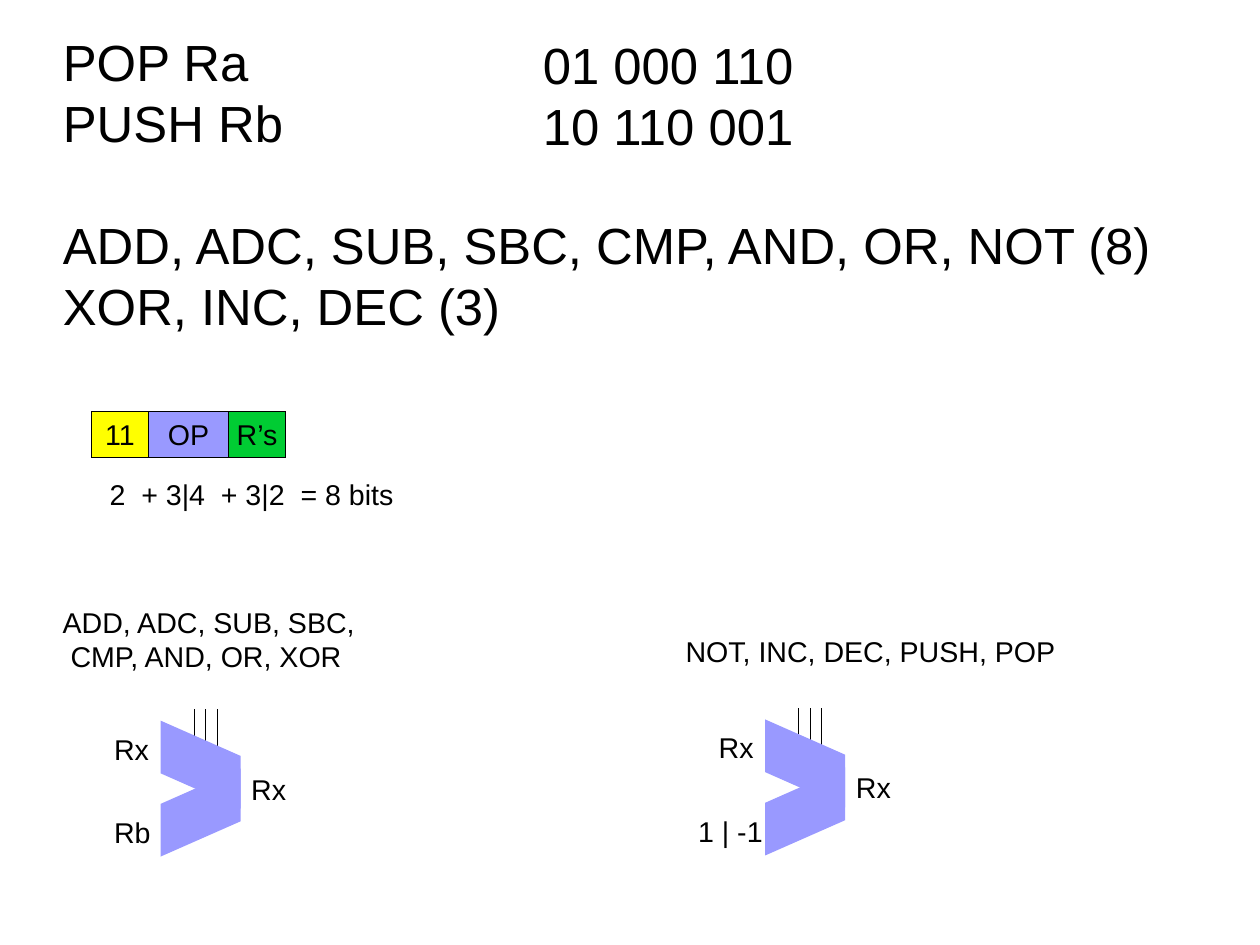
from lxml import etree
from pptx import Presentation
from pptx.dml.color import RGBColor
from pptx.enum.shapes import MSO_CONNECTOR, MSO_SHAPE
from pptx.enum.text import MSO_ANCHOR, MSO_AUTO_SIZE, PP_ALIGN
from pptx.oxml.ns import qn
from pptx.util import Cm, Inches, Pt

LINE = MSO_CONNECTOR.STRAIGHT
RECTANGLE, PARALLELOGRAM = MSO_SHAPE.RECTANGLE, MSO_SHAPE.PARALLELOGRAM
TOP, MIDDLE = MSO_ANCHOR.TOP, MSO_ANCHOR.MIDDLE
LEFT, CENTER = PP_ALIGN.LEFT, PP_ALIGN.CENTER
NO_FIT = MSO_AUTO_SIZE.NONE

COLORS = {"ink": "000000", "prefix": "FFFF00", "operation": "9999FF", "registers": "00CC33"}
FONT = "Arial"
LARGE, SMALL = 32, 18
SECTION_GAP = 38.4
HAIRLINE = Pt(0.01)

INSTRUCTIONS = [
    "POP Ra",
    "PUSH Rb",
    "ADD, ADC, SUB, SBC, CMP, AND, OR, NOT (8)",
    "XOR, INC, DEC (3)",
]
SECTION_START = 2
OPCODES = ["01 000 110", "10 110 001"]
FIELDS = [("11", 0.5, "prefix"), ("OP", 0.7, "operation"), ("R’s", 0.5, "registers")]
LABELS = [
    (["2  + 3|4  + 3|2  = 8 bits"], (0.86, 4.12, 2.69, 0.38)),
    (["ADD, ADC, SUB, SBC,", " CMP, AND, OR, XOR"], (0.45, 5.24, 2.75, 0.66)),
    (["NOT, INC, DEC, PUSH, POP"], (5.9, 5.5, 3.44, 0.38)),
]
UNITS = [
    {"origin": (0.9, 6.21), "lower": "Rb", "lower_box": (0, 0.52)},
    {"origin": (6.19, 6.2), "lower": "1 | -1", "lower_box": (-0.18, 0.76)},
]


def color(name):
    return RGBColor.from_string(COLORS[name])


def write(shape, lines, size, align=LEFT, anchor=TOP, margins=(0.1, 0.05), wrap=False):
    frame = shape.text_frame
    frame.text = "\n".join(lines)
    frame.word_wrap = wrap
    frame.auto_size = NO_FIT
    frame.vertical_anchor = anchor
    frame.margin_left = frame.margin_right = Inches(margins[0])
    frame.margin_top = frame.margin_bottom = Inches(margins[1])
    for para in frame.paragraphs:
        para.alignment = align
        para.font.name = FONT
        para.font.size = Pt(size)
        para.font.color.rgb = color("ink")


def add_label(shapes, lines, bounds, size=SMALL, **style):
    box = shapes.add_textbox(*map(Inches, bounds))
    write(box, lines, size, **style)


def add_filled(shapes, kind, bounds, fill):
    shape = shapes.add_shape(kind, *map(Inches, bounds))
    shape.shadow.inherit = False
    shape.fill.solid()
    shape.fill.fore_color.rgb = color(fill)
    shape.line.fill.background()
    return shape


def draw_hairline(shape):
    shape.line.color.rgb = color("ink")
    shape.line.width = HAIRLINE


def add_instruction_format(page):
    fields = page.shapes.add_group_shape().shapes
    left = 0.8
    for name, width, fill in FIELDS:
        field = add_filled(fields, RECTANGLE, (left, 3.6, width, 0.4), fill)
        draw_hairline(field)
        write(field, [name], SMALL, align=CENTER, anchor=MIDDLE)
        left += width


def add_unit(page, origin, lower, lower_box):
    left, top = origin
    parts = page.shapes.add_group_shape().shapes
    for index in range(3):
        x = Inches(left + 0.8 + 0.1 * index)
        control = parts.add_connector(LINE, x, Inches(top + 0.4), x, Inches(top))
        draw_hairline(control)
        etree.SubElement(control.element.spPr, qn("a:effectLst"))
    for offset, rotation in ((0.13, 90), (0.55, 270)):
        half = add_filled(parts, PARALLELOGRAM, (left + 0.47, top + offset, 0.77, 0.7), "operation")
        half.adjustments[0] = 0.441
        half.rotation = rotation
    half.element.spPr.find(qn("a:xfrm")).set("flipV", "1")
    shift, width = lower_box
    add_label(parts, ["Rx"], (left, top + 0.14, 0.5, 0.38))
    add_label(parts, ["Rx"], (left + 1.2, top + 0.49, 0.5, 0.38))
    add_label(parts, [lower], (left + shift, top + 0.87, width, 0.38))


def main():
    deck = Presentation()
    deck.slide_width, deck.slide_height = Cm(28), Cm(21)
    page = deck.slides.add_slide(deck.slide_layouts[5])

    large_style = {"anchor": MIDDLE, "margins": (0, 0), "wrap": True}
    title = page.shapes.title
    title.left, title.top, title.width, title.height = map(Inches, (0.55, 0.31, 10.25, 2.59))
    write(title, INSTRUCTIONS, LARGE, **large_style)
    title.text_frame.paragraphs[SECTION_START].space_before = Pt(SECTION_GAP)
    add_label(page.shapes, OPCODES, (4.75, 0.26, 4.05, 1.14), LARGE, **large_style)

    add_instruction_format(page)
    for lines, bounds in LABELS:
        add_label(page.shapes, lines, bounds)
    for unit in UNITS:
        add_unit(page, **unit)

    deck.save("out.pptx")


if __name__ == "__main__":
    main()
